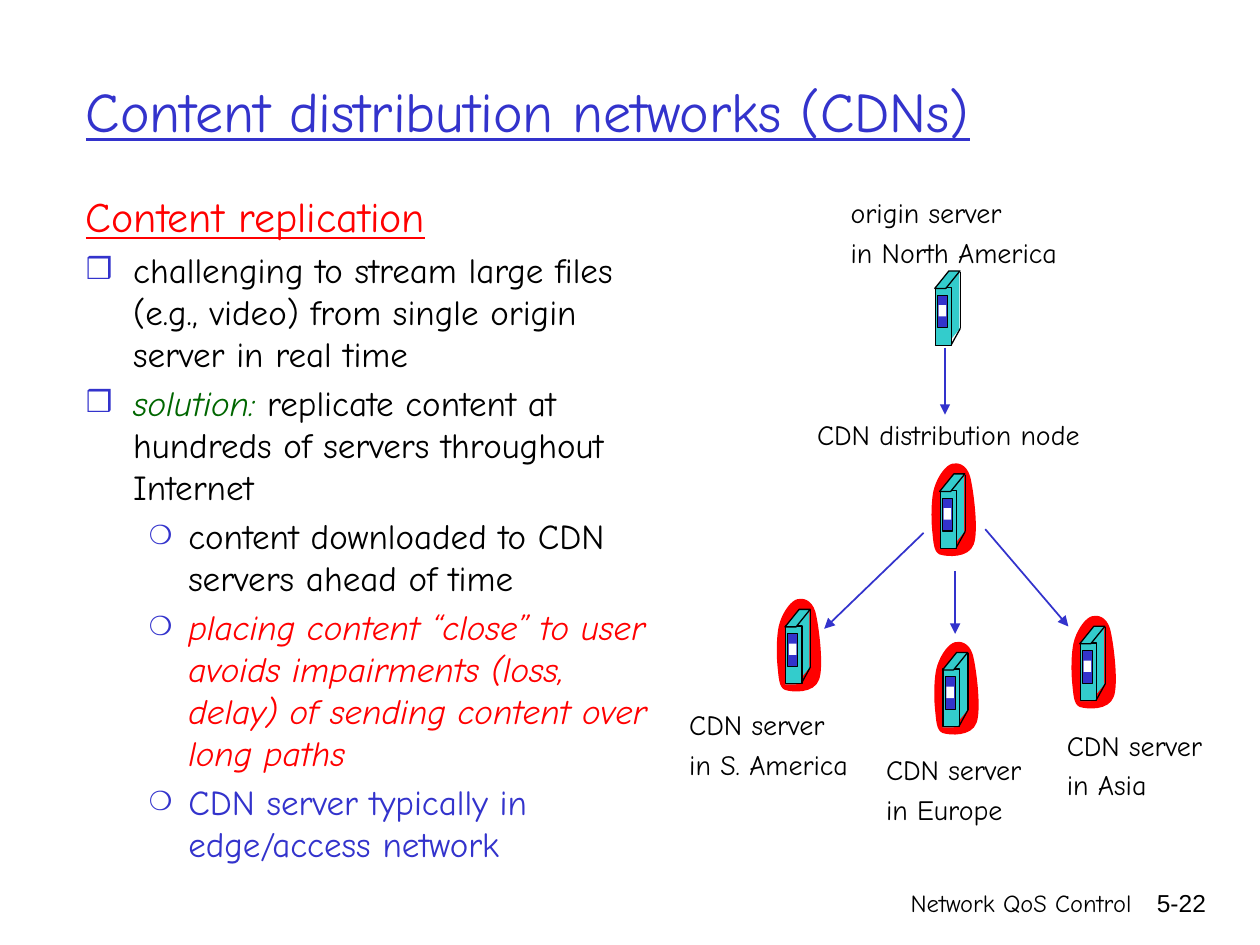
from dataclasses import dataclass

from lxml.etree import SubElement
from pptx import Presentation
from pptx.dml.color import RGBColor
from pptx.enum.shapes import MSO_CONNECTOR, MSO_SHAPE
from pptx.enum.text import MSO_ANCHOR, PP_ALIGN
from pptx.oxml.ns import qn
from pptx.util import Pt


@dataclass(frozen=True)
class Theme:
    font: str = "Comic Neue"
    plain_font: str = "Arial"
    blue: str = "3333CC"
    red: str = "FF0000"
    green: str = "006600"
    teal: str = "33CCCC"
    black: str = "000000"
    white: str = "FFFFFF"
    title: int = 32
    heading: int = 24
    body: int = 20
    label: int = 16
    footer: int = 14


THEME = Theme()

# Server pieces, measured from the top left corner of the tower
HALO_BOX = (-5, -6.5, 27.4, 54.7)
HALO_START = (-2.9, 7.2)
HALO_CURVES = [
    ((-0.7, 0.7), (3.6, -5), (7.2, -5.8)),
    ((10.1, -6.5), (15.1, -5.8), (17.3, 1.4)),
    ((19.4, 9.4), (22.3, 33.1), (19.4, 40.3)),
    ((16.6, 48.2), (4.3, 47.5), (0, 46.1)),
    ((-3.6, 44.6), (-3.6, 38.9), (-4.3, 32.4)),
    ((-5, 25.9), (-5, 13), HALO_START),
]
TOWER_PARTS = [
    (MSO_SHAPE.PARALLELOGRAM, (0, 32.8, 14.4, 10), THEME.teal, False),
    (MSO_SHAPE.RECTANGLE, (7.5, 0.4, 6.5, 33), THEME.teal, False),
    (MSO_SHAPE.RECTANGLE, (0.3, 9.6, 9.4, 33), THEME.teal, True),
    (MSO_SHAPE.PARALLELOGRAM, (0, 0, 14.4, 10), THEME.teal, True),
]
TOWER_EDGES = [((14.6, 0.4), (14.6, 32.8)), ((14.6, 32.8), (9.4, 42.2))]
PANEL_PARTS = [
    (MSO_SHAPE.RECTANGLE, (1.5, 13.9, 5.8, 18.7), THEME.blue, True),
    (MSO_SHAPE.RECTANGLE, (2.2, 19.6, 4.3, 6.5), THEME.white, False),
]


def color(code):
    return RGBColor.from_string(code)


def add_span(para, text, size=THEME.body, fill=THEME.black, font=THEME.font,
             italic=False, underline=False):
    span = para.add_run()
    span.text = text
    span.font.name = font
    span.font.size = Pt(size)
    span.font.italic = italic
    span.font.underline = underline
    span.font.color.rgb = color(fill)


def add_text_box(page, left, top, width, height, anchor=MSO_ANCHOR.TOP):
    box = page.shapes.add_textbox(Pt(left), Pt(top), Pt(width), Pt(height))
    box.text_frame.word_wrap = True
    box.text_frame.vertical_anchor = anchor
    return box.text_frame


def add_text(page, place, text, align=PP_ALIGN.LEFT, anchor=MSO_ANCHOR.TOP,
             space=0, **format):
    """Add a text box with one paragraph for each line of text."""
    frame = add_text_box(page, *place, anchor=anchor)
    for index, line in enumerate(text.split("\n")):
        para = frame.add_paragraph() if index else frame.paragraphs[0]
        para.alignment = align
        para.space_before = Pt(space if index else 0)
        add_span(para, line, **format)


def set_bullet(para, mark, percent, margin, indent):
    properties = para._p.get_or_add_pPr()
    properties.set("marL", str(Pt(margin)))
    properties.set("indent", str(Pt(-indent)))
    bullet_color = SubElement(properties, qn("a:buClr"))
    SubElement(bullet_color, qn("a:srgbClr")).set("val", THEME.blue)
    SubElement(properties, qn("a:buSzPct")).set("val", str(percent * 1000))
    SubElement(properties, qn("a:buFont")).set("typeface", THEME.plain_font)
    SubElement(properties, qn("a:buChar")).set("char", mark)


def add_bullet(frame, spans, level=0):
    """Add a bulleted paragraph from (text, format) pairs."""
    para = frame.add_paragraph()
    para.level = level
    if level:
        set_bullet(para, "❍", 75, margin=58.5, indent=22.5)
    else:
        set_bullet(para, "❒", 85, margin=27, indent=27)
    para.space_before = Pt(4)
    for text, format in spans:
        add_span(para, text, **format)


def add_line(shapes, start, end, fill, width, arrow=False):
    line = shapes.add_connector(MSO_CONNECTOR.STRAIGHT,
                                *(Pt(value) for value in (*start, *end)))
    line.line.color.rgb = color(fill)
    line.line.width = Pt(width)
    if arrow:
        SubElement(line.line._get_or_add_ln(), qn("a:tailEnd")).set("type", "triangle")
    SubElement(line._element.spPr, qn("a:effectLst"))


def paint(shape, fill, outlined=False):
    shape.shadow.inherit = False
    shape.fill.solid()
    shape.fill.fore_color.rgb = color(fill)
    if outlined:
        shape.line.color.rgb = color(THEME.black)
        shape.line.width = Pt(0.75)
    else:
        shape.line.fill.background()


def add_halo(group, left, top):
    """Frame the halo with a freeform, then give it curved segments."""
    x, y, width, height = HALO_BOX
    builder = group.shapes.build_freeform(Pt(left + x), Pt(top + y))
    builder.add_line_segments([(Pt(left + x + width), Pt(top + y)),
                               (Pt(left + x + width), Pt(top + y + height)),
                               (Pt(left + x), Pt(top + y + height))])
    halo = builder.convert_to_shape()
    outline = next(halo._element.iter(qn("a:path")))
    for segment in list(outline):
        outline.remove(segment)
    for tag, points in [("a:moveTo", [HALO_START]),
                        *(("a:cubicBezTo", curve) for curve in HALO_CURVES),
                        ("a:close", [])]:
        segment = SubElement(outline, qn(tag))
        for point_x, point_y in points:
            point = SubElement(segment, qn("a:pt"))
            point.set("x", str(Pt(point_x - x)))
            point.set("y", str(Pt(point_y - y)))
    paint(halo, THEME.red)


def add_parts(group, left, top, parts):
    for kind, (x, y, width, height), fill, outlined in parts:
        part = group.shapes.add_shape(kind, Pt(left + x), Pt(top + y),
                                      Pt(width), Pt(height))
        if kind == MSO_SHAPE.PARALLELOGRAM:
            part.adjustments[0] = 0.81
        paint(part, fill, outlined)


def add_server(page, left, top, halo=True):
    group = page.shapes.add_group_shape()
    if halo:
        add_halo(group, left, top)
    add_parts(group, left, top, TOWER_PARTS)
    for (x1, y1), (x2, y2) in TOWER_EDGES:
        add_line(group.shapes, (left + x1, top + y1), (left + x2, top + y2),
                 THEME.black, 0.75)
    add_parts(group, left, top, PANEL_PARTS)


def add_body(page):
    frame = add_text_box(page, 42, 105.5, 337.5, 386.5)
    add_span(frame.paragraphs[0], "Content replication", size=THEME.heading,
             fill=THEME.red, underline=True)
    add_bullet(frame, [("challenging to stream large files (e.g., video) from "
                        "single origin server in real time", {})])
    add_bullet(frame, [
        ("solution: ", {"fill": THEME.green, "italic": True}),
        ("replicate content at hundreds of servers throughout Internet", {})])
    for text, format in [
        ("content downloaded to CDN servers ahead of time", {}),
        ("placing content “close” to user avoids impairments (loss, delay) of "
         "sending content over long paths", {"fill": THEME.red, "italic": True}),
        ("CDN server typically in edge/access network", {"fill": THEME.blue}),
    ]:
        add_bullet(frame, [(text, format)], level=1)


def add_network(page):
    add_server(page, 534.2, 154.8, halo=False)
    for left, top in [(448.6, 348.2), (538.6, 372.8), (617, 357.9), (537, 270.8)]:
        add_server(page, left, top)
    for place, text in [
        ((479, 108.4, 144, 49.7), "origin server\nin North America"),
        ((459.8, 235, 181, 26.6), "CDN distribution node"),
        ((386.8, 401, 114, 49.7), "CDN server\nin S. America"),
        ((499.2, 426.7, 101.5, 49.7), "CDN server\nin Europe"),
        ((602.5, 412.8, 101.5, 49.7), "CDN server\nin Asia"),
    ]:
        add_text(page, place, text, size=THEME.label, space=3.2)
    for start, end in [((540, 198.7), (540, 237)), ((527.8, 304.5), (471, 359.3)),
                       ((545.8, 326.2), (545.8, 362.2)), ((563, 302.4), (610.5, 358))]:
        add_line(page.shapes, start, end, THEME.blue, 1, arrow=True)


def main():
    deck = Presentation()
    deck.slide_width, deck.slide_height = Pt(720), Pt(540)
    page = deck.slides.add_slide(deck.slide_layouts[6])
    add_text(page, (350, 504, 303.8, 36), "Network QoS Control",
             align=PP_ALIGN.RIGHT, size=THEME.footer)
    add_text(page, (643, 504, 53.2, 36), "5-22", align=PP_ALIGN.RIGHT,
             size=THEME.footer, font=THEME.plain_font)
    add_text(page, (42, 18, 632, 90), "Content distribution networks (CDNs)",
             anchor=MSO_ANCHOR.MIDDLE, size=THEME.title, fill=THEME.blue,
             underline=True)
    add_body(page)
    add_network(page)
    deck.save("out.pptx")


if __name__ == "__main__":
    main()
